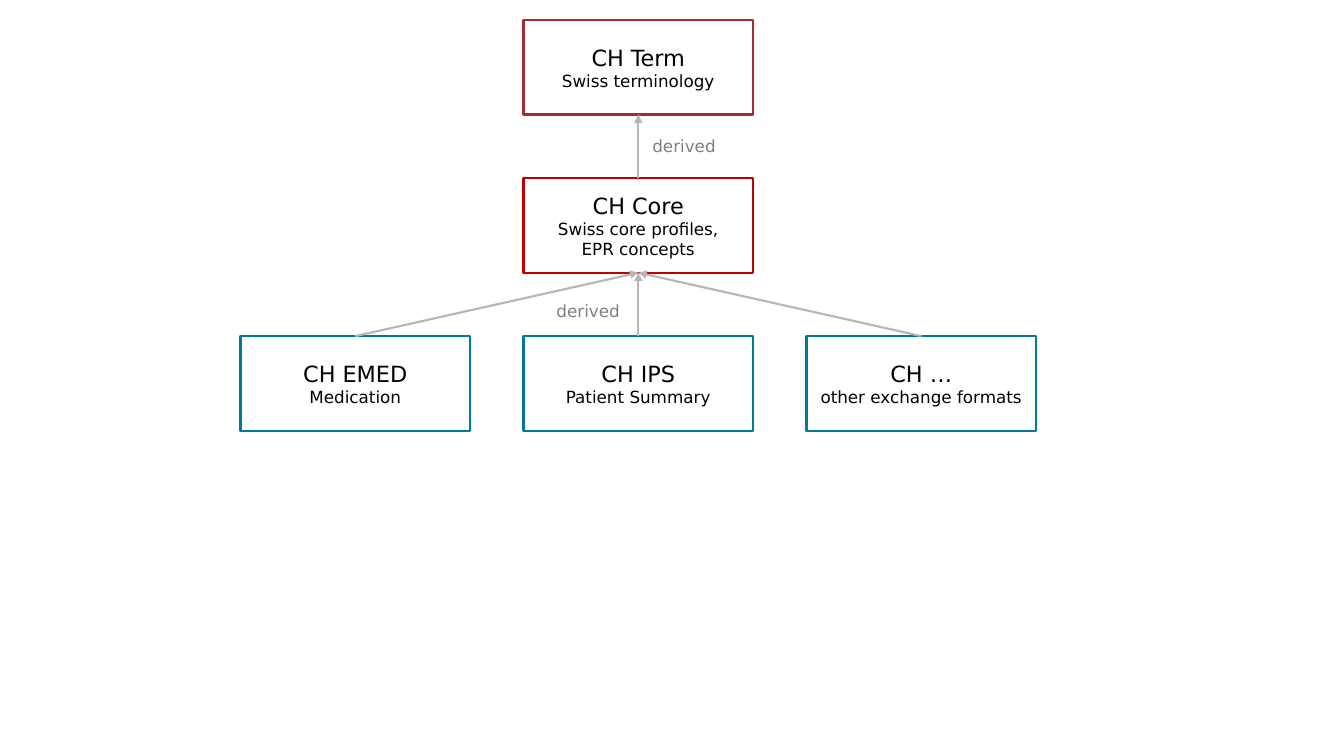
"""Build a slide showing how the Swiss exchange formats derive from CH Core and CH Term."""
from dataclasses import dataclass

from lxml import etree
from pptx import Presentation
from pptx import util as u
from pptx.dml.color import RGBColor
from pptx.enum import shapes, text
from pptx.oxml.ns import qn
from pptx.shapes.autoshape import Shape
from pptx.slide import Slide

TERM_RED = RGBColor(0xA7, 0x29, 0x31)
CORE_RED = RGBColor(0xC0, 0x00, 0x00)
FORMAT_BLUE = RGBColor(0x00, 0x79, 0x9C)
ARROW_GREY = RGBColor(0xB6, 0xB6, 0xB6)
LABEL_GREY = RGBColor(0x80, 0x80, 0x80)
BLACK = RGBColor(0x00, 0x00, 0x00)

FONT = "DejaVu Sans"
NAME_SIZE, DETAIL_SIZE = u.Pt(16), u.Pt(12)
LINE_WIDTH = u.Pt(1.5)
GUIDE_WIDTH, GUIDE_HEIGHT = 5.79, 2.39
FIRST_LEFT, COLUMN_PITCH = 6.07, 7.14
FIRST_TOP, ROW_PITCH = 0.5, 3.99
TOP_SITE, BOTTOM_SITE = 0, 2


@dataclass(frozen=True)
class Guide:
    name: str
    details: tuple[str, ...]
    column: int
    row: int
    color: RGBColor
    parent: str | None = None


@dataclass(frozen=True)
class Label:
    wording: str
    left: float
    top: float


GUIDES = (
    Guide("CH Term", ("Swiss terminology",), 1, 0, TERM_RED),
    Guide("CH Core", ("Swiss core profiles,", "EPR concepts"), 1, 1, CORE_RED, "CH Term"),
    Guide("CH EMED", ("Medication",), 0, 2, FORMAT_BLUE, "CH Core"),
    Guide("CH IPS", ("Patient Summary",), 1, 2, FORMAT_BLUE, "CH Core"),
    Guide("CH …", ("other exchange formats",), 2, 2, FORMAT_BLUE, "CH Core"),
)
LABELS = (Label("derived", 16.21, 3.3), Label("derived", 13.79, 7.47))


def write_line(paragraph, wording: str, size: u.Length, color: RGBColor) -> None:
    """Fill a paragraph with one line of formatted text."""
    paragraph.text = wording
    paragraph.font.name = FONT
    paragraph.font.size = size
    paragraph.font.color.rgb = color


def draw_guide(slide: Slide, guide: Guide) -> Shape:
    """Draw an implementation guide as an outlined box."""
    box = slide.shapes.add_shape(
        shapes.MSO_SHAPE.RECTANGLE,
        u.Cm(FIRST_LEFT + guide.column * COLUMN_PITCH),
        u.Cm(FIRST_TOP + guide.row * ROW_PITCH),
        u.Cm(GUIDE_WIDTH),
        u.Cm(GUIDE_HEIGHT),
    )
    box.shadow.inherit = False
    box.fill.background()
    box.line.color.rgb = guide.color
    box.line.width = LINE_WIDTH
    frame = box.text_frame
    frame.word_wrap = True
    frame.vertical_anchor = text.MSO_ANCHOR.MIDDLE
    write_line(frame.paragraphs[0], guide.name, NAME_SIZE, BLACK)
    for detail in guide.details:
        write_line(frame.add_paragraph(), detail, DETAIL_SIZE, BLACK)
    for paragraph in frame.paragraphs:
        paragraph.alignment = text.PP_ALIGN.CENTER
    return box


def draw_derivation(slide: Slide, child: Shape, parent: Shape) -> None:
    """Draw an arrow from the top of a child to the bottom of its parent."""
    arrow = slide.shapes.add_connector(shapes.MSO_CONNECTOR.STRAIGHT, 0, 0, 0, 0)
    arrow.begin_connect(child, TOP_SITE)
    arrow.end_connect(parent, BOTTOM_SITE)
    arrow.line.color.rgb = ARROW_GREY
    arrow.line.width = LINE_WIDTH
    properties = arrow.element.spPr
    etree.SubElement(properties.find(qn("a:ln")), qn("a:tailEnd"), type="triangle")
    etree.SubElement(properties, qn("a:effectLst"))


def draw_label(slide: Slide, label: Label) -> None:
    """Draw the caption beside an arrow."""
    caption = slide.shapes.add_textbox(
        u.Cm(label.left), u.Cm(label.top), u.Cm(2.11), u.Cm(0.77)
    )
    frame = caption.text_frame
    frame.word_wrap = False
    frame.auto_size = text.MSO_AUTO_SIZE.SHAPE_TO_FIT_TEXT
    write_line(frame.paragraphs[0], label.wording, DETAIL_SIZE, LABEL_GREY)


def main() -> None:
    """Build and save the presentation."""
    presentation = Presentation()
    presentation.slide_width = u.Cm(33.91)
    presentation.slide_height = u.Cm(19.05)
    slide = presentation.slides.add_slide(presentation.slide_layouts.get_by_name("Blank"))
    boxes = {guide.name: draw_guide(slide, guide) for guide in GUIDES}
    for guide in GUIDES:
        if guide.parent:
            draw_derivation(slide, boxes[guide.name], boxes[guide.parent])
    for label in LABELS:
        draw_label(slide, label)
    presentation.save("out.pptx")


if __name__ == "__main__":
    main()
